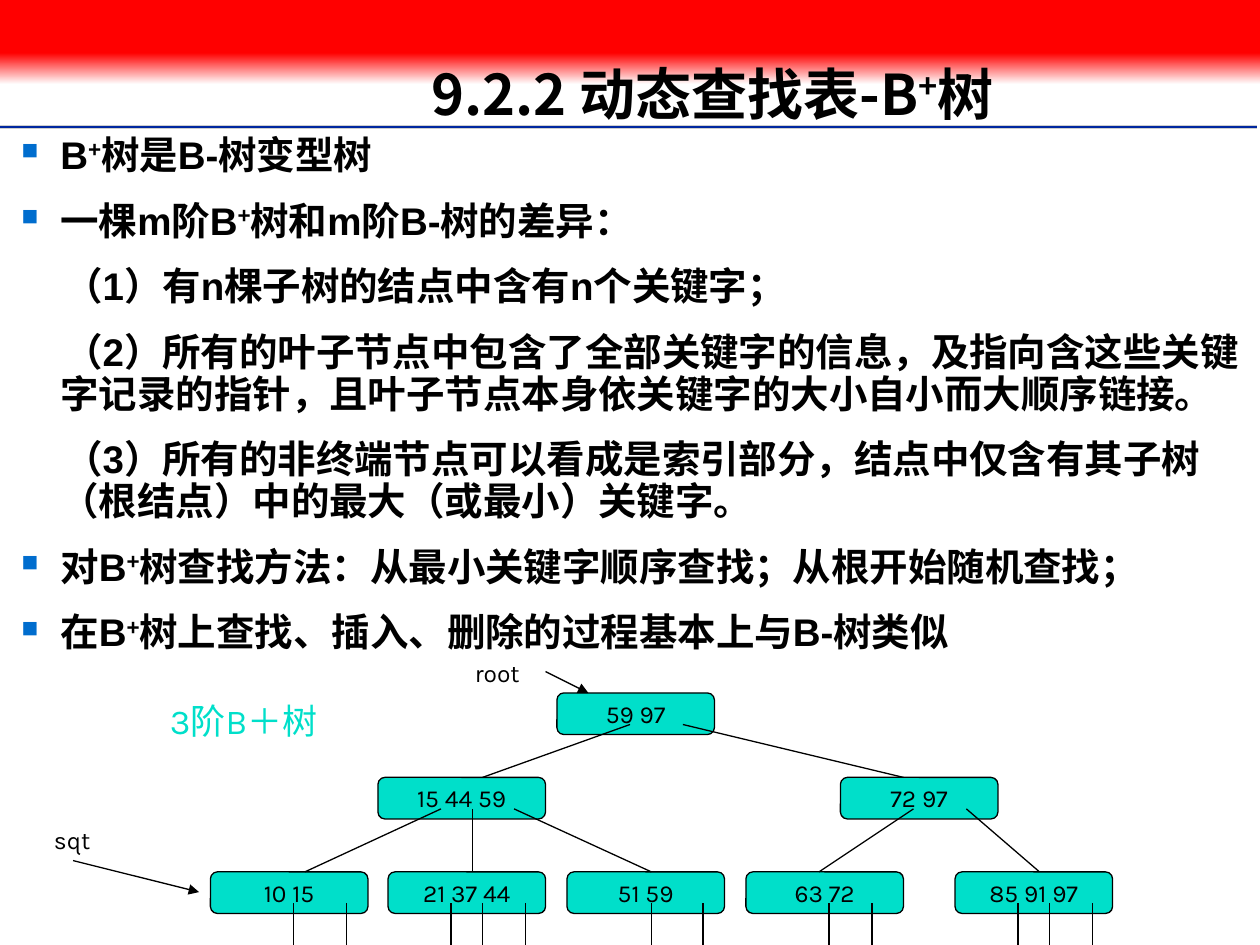
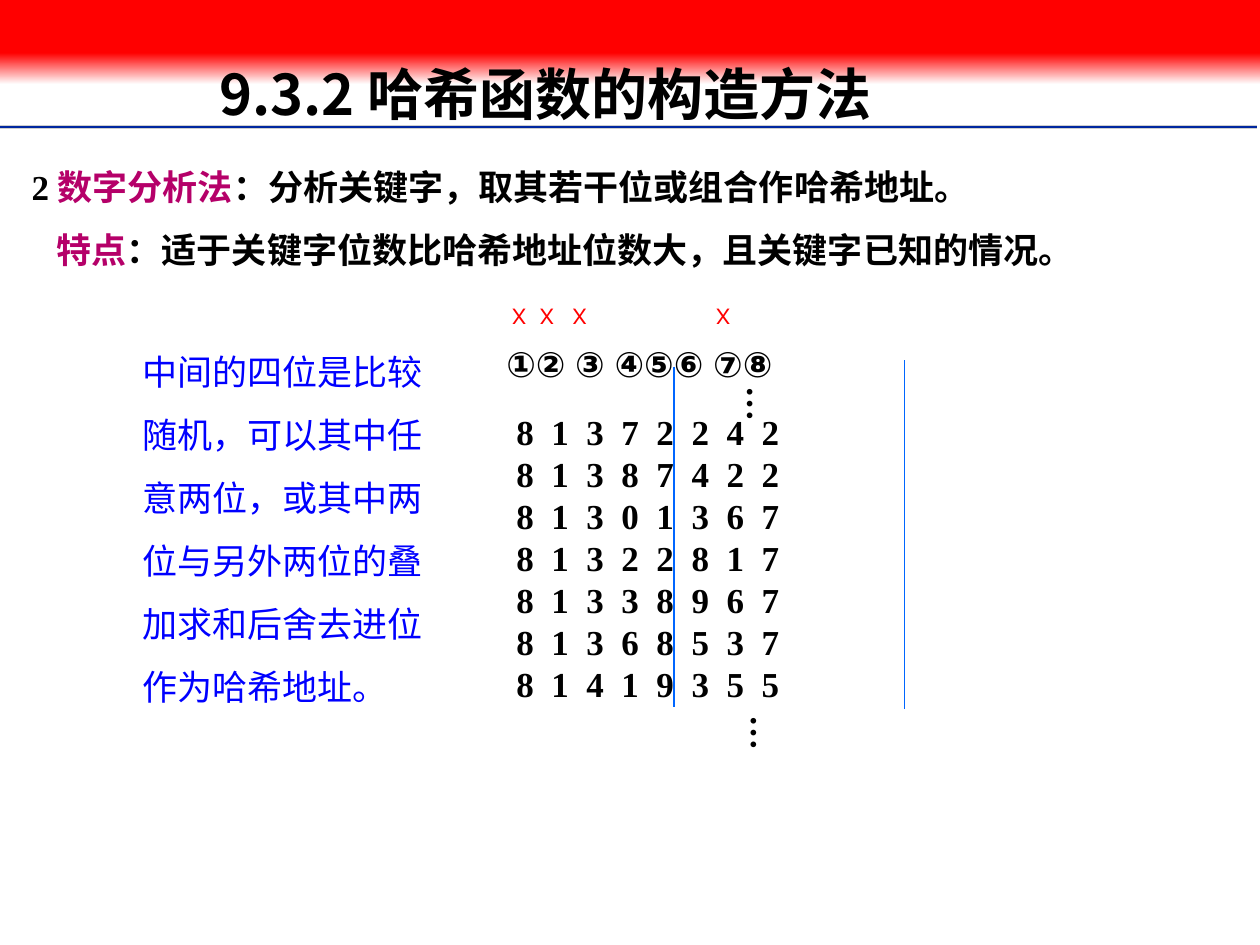
from lxml.etree import SubElement
from pptx import Presentation
from pptx.dml.color import RGBColor
from pptx.enum.shapes import MSO_CONNECTOR, MSO_SHAPE
from pptx.enum.text import MSO_ANCHOR, PP_ALIGN
from pptx.oxml.ns import qn
from pptx.util import Inches, Pt

# Shared look
BLACK, RED, WHITE, TEAL = "000000", "FF0000", "FFFFFF", "00DFCA"
BLUE, GUIDE_BLUE, BULLET_BLUE, PURPLE = "0000FF", "0066FF", "006DCE", "B50069"
CJK_FONT = "Noto Sans CJK SC"
RULES = [(1.01, "CECECE", 2), (1.01, "00279F", 1), (1.03, WHITE, 1)]
TITLE_BOX = (1.74, 0.4, 7.83, 0.74)
TITLE_FONT = {"name": CJK_FONT, "size": Pt(32), "bold": True}
BODY_FONT = {"name": "Arial", "size": Pt(22), "bold": True}
LABEL_FONT = {"name": "Karla", "size": Pt(14)}
NOTE_FONT = {"name": "Karla", "size": Pt(20)}
DIGIT_FONT = {"name": "Times New Roman", "size": Pt(20), "bold": True}
CIRCLE_FONT = {"name": "Arial", "size": Pt(20), "bold": True}
PADDING = (0.1, 0.05)

# Slide 1: B+ tree; a half-width "+" is set as a superscript
TREE_TITLE = "9.2.2 动态查找表-B+树"
TREE_POINTS = [
    (True, "B+树是B-树变型树"),
    (True, "一棵m阶B+树和m阶B-树的差异："),
    (False, "（1）有n棵子树的结点中含有n个关键字；"),
    (False, "（2）所有的叶子节点中包含了全部关键字的信息，及指向含这些关键字记录的指针，"
            "且叶子节点本身依关键字的大小自小而大顺序链接。"),
    (False, "（3）所有的非终端节点可以看成是索引部分，结点中仅含有其子树（根结点）中的"
            "最大（或最小）关键字。"),
    (True, "对B+树查找方法：从最小关键字顺序查找；从根开始随机查找；"),
    (True, "在B+树上查找、插入、删除的过程基本上与B-树类似"),
]
NODE_HEIGHT = 0.33
# top of each level: (left, width, keys)
TREE_LEVELS = {
    5.5: [(4.42, 1.25, "59 97")],
    6.17: [(3, 1.33, "15 44 59"), (6.67, 1.25, "72 97")],
    6.92: [(1.67, 1.25, "10 15"), (3.08, 1.25, "21 37 44"), (4.5, 1.25, "51 59"),
           (5.92, 1.25, "63 72"), (7.58, 1.25, "85 91 97")],
}
# (start y, end y): pairs of start x, end x
TREE_EDGES = {
    (5.75, 6.17): [(5, 3.83), (5.42, 7.17)],
    (6.42, 6.92): [(3.5, 2.42), (3.75, 3.75), (4.08, 5.17), (7.25, 6.5), (7.67, 8.25)],
    (7.17, 7.5): [(x, x) for x in (2.33, 2.75, 3.58, 3.83, 4.17, 5.17, 5.58,
                                   6.58, 6.92, 8.08, 8.33, 8.67)],
}
TREE_ARROWS = [((0.58, 6.83), (1.58, 7.08)), ((4.33, 5.33), (4.67, 5.5))]
TREE_LABELS = [
    ((0.33, 6.5, 0.83, 0.34), "sqt", LABEL_FONT, BLACK),
    ((3.67, 5.17, 0.75, 0.34), "root", LABEL_FONT, BLACK),
    ((1.25, 5.5, 1.58, 0.44), "3阶B＋树", NOTE_FONT, TEAL),
]

# Slide 2: digit analysis
HASH_TITLE = "9.3.2 哈希函数的构造方法"
METHOD_LINES = [
    (-0.31, [("2 ", BLACK), ("数字分析法", PURPLE),
             ("：分析关键字，取其若干位或组合作哈希地址。", BLACK)]),
    (-0.11, [("特点", PURPLE),
             ("：适于关键字位数比哈希地址位数大，且关键字已知的情况。", BLACK)]),
]
KEYS = ["81372242", "81387422", "81301367", "81322817", "81338967", "81368537", "81419355"]
DIGIT_PITCH = 0.278
POSITIONS = "①② ③ ④⑤⑥ ⑦⑧"
DROPPED_MARKS = "X\tX\tX\tX"
MARK_TABS = [0.22, 0.48, 1.62]
ELLIPSES = [(5.73, 2.97, 0.53, 0.38), (5.76, 5.58, 0.53, 0.38)]
GUIDES = [(5.35, 2.91, 5.61), (7.18, 2.86, 5.63)]
HASH_NOTE = ("中间的四位是比较随机，可以其中任意两位，或其中两位与另外两位的叠加"
             "求和后舍去进位作为哈希地址。")


def color(value):
    return RGBColor.from_string(value)


def set_values(target, values):
    for name, value in values.items():
        setattr(target, name, value)


def add_run(paragraph, text, font, text_color, raised=False):
    run = paragraph.add_run()
    run.text = text
    set_values(run.font, font)
    run.font.color.rgb = color(text_color)
    properties = run._r.get_or_add_rPr()
    SubElement(properties, qn("a:ea")).set("typeface", CJK_FONT)
    if raised:
        properties.set("baseline", "30000")


def fill_paragraph(paragraph, runs, font, values=None, indent=None, bullet=False, tabs=()):
    """Write (text, colour) runs, with indent as (left margin, first line)."""
    properties = paragraph._p.get_or_add_pPr()
    if indent:
        for name, length in zip(("marL", "indent"), indent):
            properties.set(name, str(Inches(length)))
    if bullet:
        bullet_color = SubElement(properties, qn("a:buClr"))
        SubElement(bullet_color, qn("a:srgbClr")).set("val", BULLET_BLUE)
        SubElement(properties, qn("a:buSzPct")).set("val", "60000")
        SubElement(properties, qn("a:buChar")).set("char", "■")
    if tabs:
        tab_list = SubElement(properties, qn("a:tabLst"))
        for position in tabs:
            tab = SubElement(tab_list, qn("a:tab"))
            tab.set("pos", str(Inches(position)))
            tab.set("algn", "l")
    set_values(paragraph, values or {})
    for text, text_color in runs:
        for index, part in enumerate(text.split("+")):
            if index:
                add_run(paragraph, "+", font, text_color, raised=True)
            add_run(paragraph, part, font, text_color)


def prepare_frame(shape, padding=PADDING, anchor=MSO_ANCHOR.TOP, wrap=True):
    side, end = map(Inches, padding)
    set_values(shape.text_frame, {
        "margin_left": side, "margin_right": side, "margin_top": end,
        "margin_bottom": end, "vertical_anchor": anchor, "word_wrap": wrap})
    return shape.text_frame


def add_text(slide, box, lines, font, padding=PADDING, anchor=MSO_ANCHOR.TOP, vertical=False):
    """Add a text box; each line is a dict of fill_paragraph arguments."""
    shape = slide.shapes.add_textbox(*map(Inches, box))
    frame = prepare_frame(shape, padding, anchor, wrap=not vertical)
    if vertical:
        frame._txBody.bodyPr.set("vert", "eaVert")
    for index, line in enumerate(lines):
        paragraph = frame.add_paragraph() if index else frame.paragraphs[0]
        fill_paragraph(paragraph, font=font, **line)


def add_line(slide, start, end, line_color=BLACK, width=0.75, arrow=False):
    connector = slide.shapes.add_connector(
        MSO_CONNECTOR.STRAIGHT, *map(Inches, (*start, *end)))
    connector.line.color.rgb = color(line_color)
    connector.line.width = Pt(width)
    if arrow:
        SubElement(connector.line._get_or_add_ln(), qn("a:tailEnd")).set("type", "triangle")
    SubElement(connector._element.spPr, qn("a:effectLst"))


def add_band(slide, top, height):
    band = slide.shapes.add_shape(
        MSO_SHAPE.RECTANGLE, *map(Inches, (0, top, 10, height)))
    band.shadow.inherit = False
    band.line.fill.background()
    return band.fill


def add_base_slide(presentation, title, alignment):
    slide = presentation.slides.add_slide(presentation.slide_layouts[6])
    for y, line_color, width in RULES:
        add_line(slide, (0, y), (9.98, y), line_color, width)
    fade = add_band(slide, 0.42, 0.25)
    fade.gradient()
    fade.gradient_angle = 270
    for stop, stop_color in zip(fade.gradient_stops, (RED, WHITE)):
        stop.color.rgb = color(stop_color)
    solid = add_band(slide, 0, 0.42)
    solid.solid()
    solid.fore_color.rgb = color(RED)
    values = {"alignment": alignment, "line_spacing": 0.9}
    add_text(slide, TITLE_BOX, [{"runs": [(title, BLACK)], "values": values}],
             TITLE_FONT, (0, 0), MSO_ANCHOR.MIDDLE)
    return slide


def add_node(slide, box, keys):
    node = slide.shapes.add_shape(
        MSO_SHAPE.FLOWCHART_ALTERNATE_PROCESS, *map(Inches, box))
    node.shadow.inherit = False
    node.fill.solid()
    node.fill.fore_color.rgb = color(TEAL)
    node.line.color.rgb = color(BLACK)
    node.line.width = Pt(0.75)
    frame = prepare_frame(node, anchor=MSO_ANCHOR.MIDDLE, wrap=False)
    fill_paragraph(frame.paragraphs[0], [(keys, BLACK)], LABEL_FONT,
                   {"alignment": PP_ALIGN.CENTER})


def build_tree_slide(presentation):
    slide = add_base_slide(presentation, TREE_TITLE, PP_ALIGN.CENTER)
    spacing = {"line_spacing": 0.9, "space_after": Pt(13.8)}
    points = [{"runs": [(text, BLACK)], "values": spacing, "bullet": bullet,
               "indent": (0.31, -0.31 if bullet else 0.03)}
              for bullet, text in TREE_POINTS]
    add_text(slide, (0.17, 1.08, 9.83, 4.25), points, BODY_FONT, (0, 0))

    # Nodes, then the pointers over them
    for top, nodes in TREE_LEVELS.items():
        for left, width, keys in nodes:
            add_node(slide, (left, top, width, NODE_HEIGHT), keys)
    for (start_y, end_y), edges in TREE_EDGES.items():
        for start_x, end_x in edges:
            add_line(slide, (start_x, start_y), (end_x, end_y))
    for start, end in TREE_ARROWS:
        add_line(slide, start, end, arrow=True)
    for box, text, font, text_color in TREE_LABELS:
        add_text(slide, box, [{"runs": [(text, text_color)]}], font)


def build_hash_slide(presentation):
    slide = add_base_slide(presentation, HASH_TITLE, PP_ALIGN.LEFT)
    method = [{"runs": runs, "indent": (0.31, first),
               "values": {"space_before": Pt(12.5 if index else 0)}}
              for index, (first, runs) in enumerate(METHOD_LINES)]
    add_text(slide, (0.25, 1.31, 9.68, 1.08), method, DIGIT_FONT, (0, 0))

    # Key digits in columns, with position numbers and dropped columns above
    digit_tabs = [DIGIT_PITCH * column for column in range(1, len(KEYS[0]))]
    rows = [{"runs": [("\t".join(key), BLACK)], "tabs": digit_tabs} for key in KEYS]
    add_text(slide, (4, 3.21, 2.35, 2.44), rows, DIGIT_FONT)
    for box in ELLIPSES:
        add_text(slide, box, [{"runs": [("…", BLACK)]}], DIGIT_FONT,
                 PADDING[::-1], vertical=True)
    add_text(slide, (3.92, 2.67, 2.6, 0.44), [{"runs": [(POSITIONS, BLACK)]}], CIRCLE_FONT)
    for x, top, bottom in GUIDES:
        add_line(slide, (x, top), (x, bottom), GUIDE_BLUE)
    add_text(slide, (3.96, 2.33, 2.46, 0.34),
             [{"runs": [(DROPPED_MARKS, RED)], "tabs": MARK_TABS}], LABEL_FONT)
    add_text(slide, (1.03, 2.57, 2.65, 3.1),
             [{"runs": [(HASH_NOTE, BLUE)], "values": {"line_spacing": 1.5}}], NOTE_FONT)


def main():
    presentation = Presentation()
    presentation.slide_width, presentation.slide_height = Inches(10), Inches(7.5)
    build_tree_slide(presentation)
    build_hash_slide(presentation)
    presentation.save("out.pptx")


if __name__ == "__main__":
    main()
